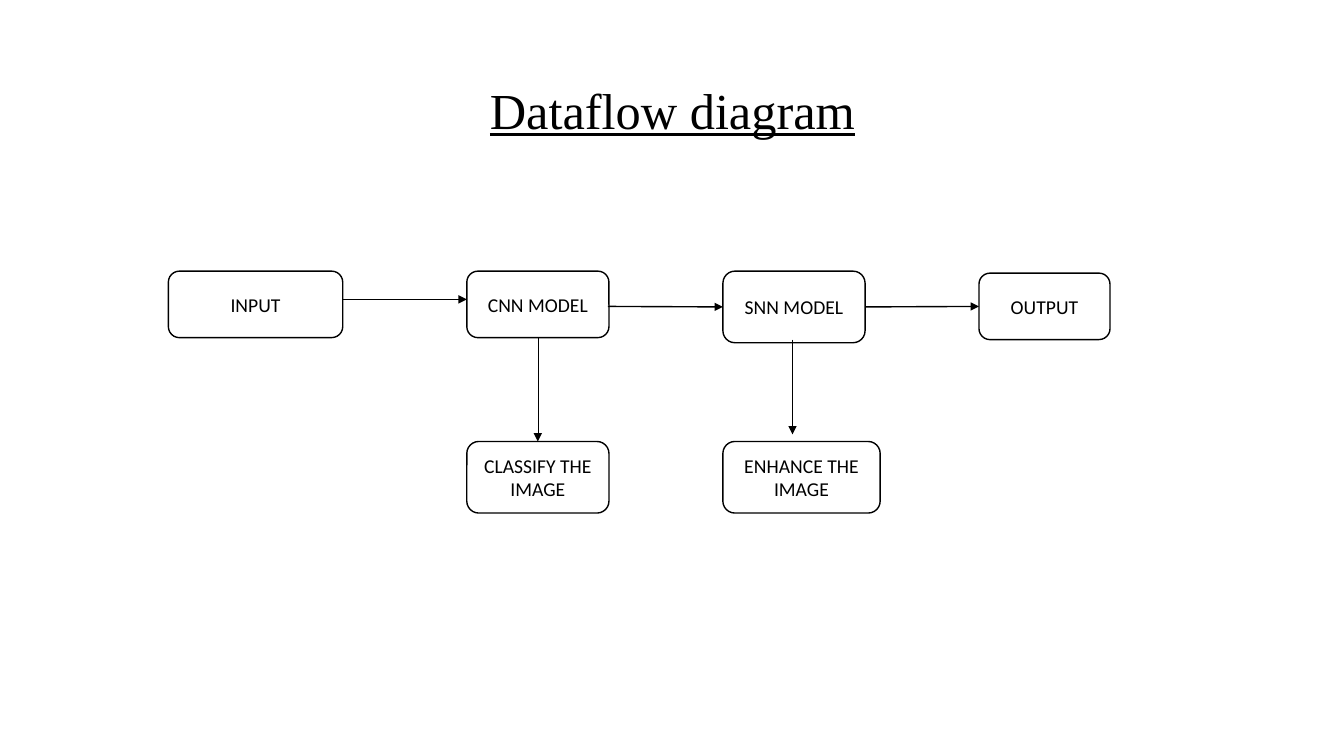
from lxml import etree
from pptx import Presentation
from pptx import util as u
from pptx.dml.color import RGBColor
from pptx.enum import shapes, text
from pptx.oxml.ns import qn

COLORS = {"ink": "000000", "paper": "FFFFFF"}
TITLE = "Dataflow diagram"
TITLE_BOX = (1.67, 0.78, 10, 0.66)
BOXES = {
    "INPUT": (1.67, 2.69, 1.73, 0.66),
    "CNN MODEL": (4.63, 2.69, 1.41, 0.66),
    "SNN MODEL": (7.17, 2.69, 1.41, 0.71),
    "OUTPUT": (9.71, 2.71, 1.3, 0.66),
    "CLASSIFY THE IMAGE": (4.63, 4.38, 1.41, 0.71),
    "ENHANCE THE IMAGE": (7.17, 4.38, 1.56, 0.71),
}
TOP, LEFT, BOTTOM, RIGHT = range(4)
ARROWS = [
    ((3.4, 2.97), (4.63, 2.97), 1),
    ((6.03, 3.04), ("SNN MODEL", LEFT), 1),
    (("SNN MODEL", RIGHT), ("OUTPUT", LEFT), 1),
    (("CNN MODEL", BOTTOM), ("CLASSIFY THE IMAGE", TOP), 0.5),
    ((7.86, 3.37), (7.86, 4.31), 0.5),
]


def rgb(name):
    return RGBColor.from_string(COLORS[name])


def style(p, font, size):
    p.alignment = text.PP_ALIGN.CENTER
    for r in p.runs:
        r.font.name = font
        r.font.size = u.Pt(size)
        r.font.color.rgb = rgb("ink")


def add_box(s, label, place):
    sp = s.shapes.add_shape(shapes.MSO_SHAPE.ROUNDED_RECTANGLE, *map(u.Inches, place))
    sp.shadow.inherit = False
    sp.fill.solid()
    sp.fill.fore_color.rgb = rgb("paper")
    sp.line.color.rgb = rgb("ink")
    sp.line.width = u.Pt(1)
    tf = sp.text_frame
    tf.word_wrap = True
    tf.vertical_anchor = text.MSO_ANCHOR.MIDDLE
    tf.text = label
    style(tf.paragraphs[0], "Calibri", 14)
    return sp


def point(end):
    if end[0] not in BOXES:
        return end
    x, y, w, h = BOXES[end[0]]
    return [(x + w / 2, y), (x, y + h / 2), (x + w / 2, y + h), (x + w, y + h / 2)][end[1]]


def add_arrow(s, boxes, start, end, width):
    places = [u.Inches(v) for v in (*point(start), *point(end))]
    c = s.shapes.add_connector(shapes.MSO_CONNECTOR.STRAIGHT, *places)
    for stop, connect in ((start, c.begin_connect), (end, c.end_connect)):
        if stop[0] in boxes:
            connect(boxes[stop[0]], stop[1])
    c.line.color.rgb = rgb("ink")
    c.line.width = u.Pt(width)
    etree.SubElement(c.line._get_or_add_ln(), qn("a:tailEnd"), type="triangle")
    etree.SubElement(c._element.spPr, qn("a:effectLst"))


def main():
    prs = Presentation()
    prs.slide_width, prs.slide_height = u.Inches(13.33), u.Inches(7.5)
    s = prs.slides.add_slide(prs.slide_layouts[5])
    title = s.shapes.title
    title.left, title.top, title.width, title.height = map(u.Inches, TITLE_BOX)
    tf = title.text_frame
    tf.text = TITLE
    tf.auto_size = text.MSO_AUTO_SIZE.NONE
    tf.vertical_anchor = text.MSO_ANCHOR.BOTTOM
    p = tf.paragraphs[0]
    p.line_spacing = 0.9
    style(p, "Times New Roman", 36)
    p.runs[0].font.underline = True
    boxes = {label: add_box(s, label, place) for label, place in BOXES.items()}
    for start, end, width in ARROWS:
        add_arrow(s, boxes, start, end, width)
    prs.save("out.pptx")


if __name__ == "__main__":
    main()
